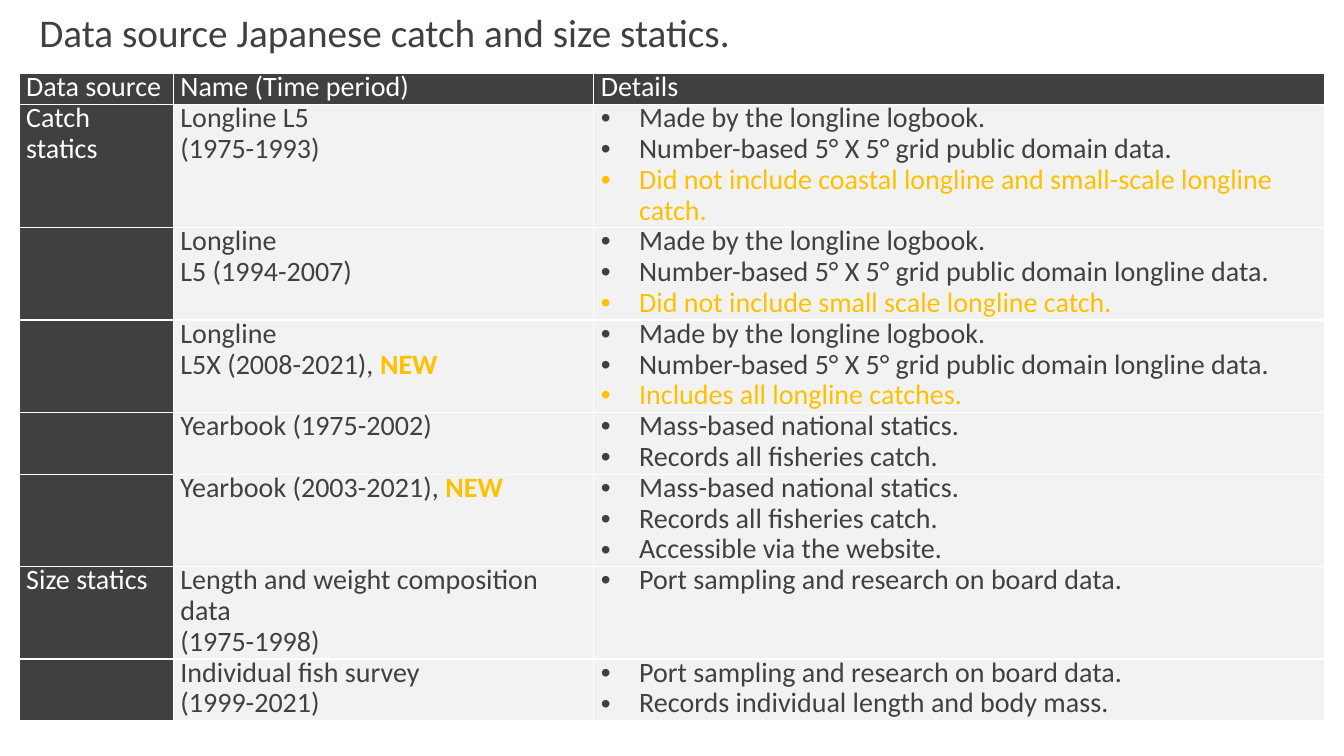
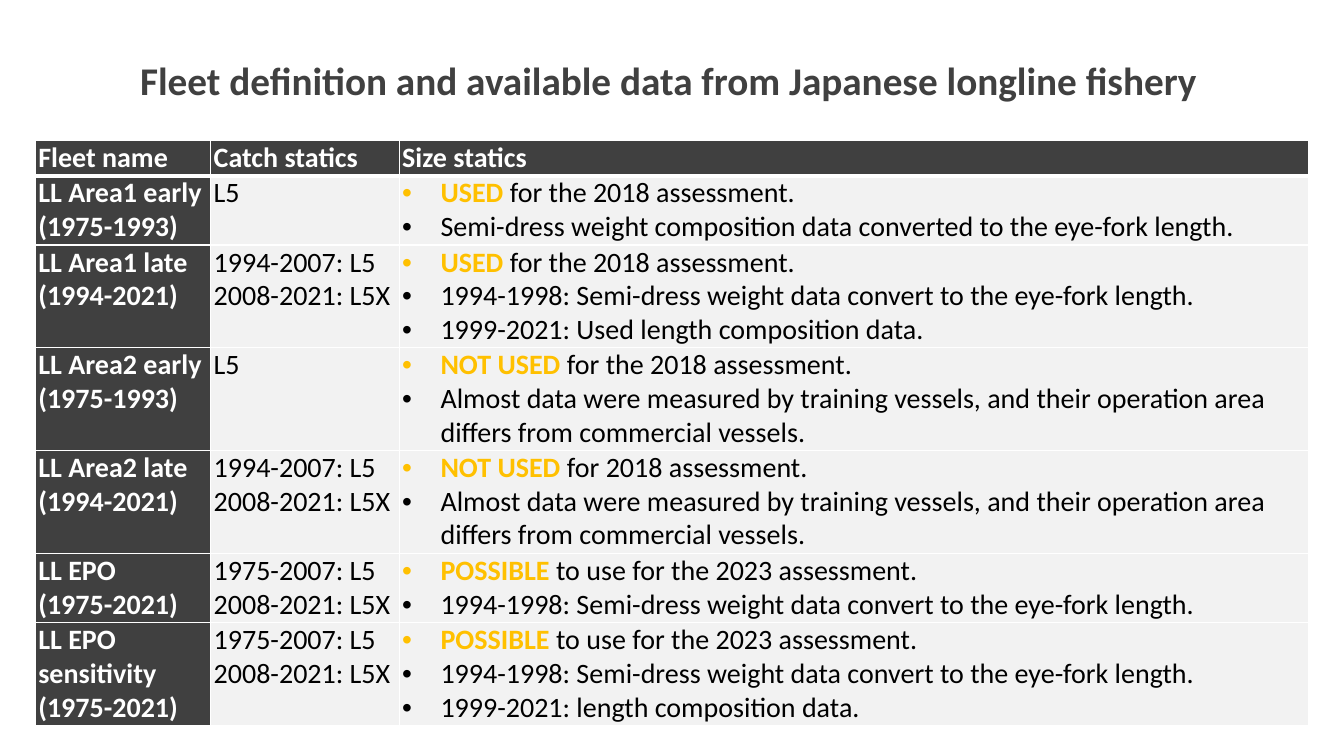
from pptx import Presentation
from pptx.dml.color import RGBColor
from pptx.enum.text import MSO_ANCHOR, MSO_AUTO_SIZE, PP_ALIGN
from pptx.util import Inches, Pt
from pptx.oxml import parse_xml
from pptx.oxml.ns import nsdecls

# Shared look
FONT = "Calibri"
DARK, PALE, GOLD, WHITE, BLACK = "404040", "F2F2F2", "FFC000", "FFFFFF", "000000"
INDENT = Inches(0.38)


def style(run, size, color, bold):
    font = run.font
    font.name, font.size, font.bold = FONT, Pt(size), bold
    font.color.rgb = RGBColor.from_string(color)


def border(cell, side, width):
    props = cell._tc.get_or_add_tcPr()
    line = parse_xml(
        f'<a:ln{side} {nsdecls("a")} w="{Pt(width)}"><a:solidFill>'
        f'<a:srgbClr val="{WHITE}"/></a:solidFill></a:ln{side}>')
    props.insert("LRTB".index(side), line)


# Text between asterisks is gold, and bold too when in capitals
grid = "Number-based 5° X 5° grid public domain"
book = "Made by the longline logbook."
mass = "Mass-based national statics.\nRecords all fisheries catch."
port = "Port sampling and research on board data."
sources = [
    (1, "Data source", "Name (Time period)", "Details"),
    (4, "Catch statics", "Longline L5\n(1975-1993)",
     f"{book}\n{grid} data.\n"
     "*Did not include coastal longline and small-scale longline catch.*"),
    (3, "", "Longline\nL5 (1994-2007)",
     f"{book}\n{grid} longline data.\n*Did not include small scale longline catch.*"),
    (3, "", "Longline\nL5X (2008-2021), *NEW*",
     f"{book}\n{grid} longline data.\n*Includes all longline catches.*"),
    (2, "", "Yearbook (1975-2002)", mass),
    (3, "", "Yearbook (2003-2021), *NEW*", f"{mass}\nAccessible via the website."),
    (3, "Size statics", "Length and weight composition data\n(1975-1998)", port),
    (2, "", "Individual fish survey\n(1999-2021)",
     f"{port}\nRecords individual length and body mass."),
]

used = "*USED* for the 2018 assessment."
able = "*POSSIBLE* to use for the 2023 assessment."
semi = "1994-1998: Semi-dress weight data convert to the eye-fork length."
train = ("Almost data were measured by training vessels, "
         "and their operation area differs from commercial vessels.")
late = "1994-2007: L5\n2008-2021: L5X"
full = "1975-2007: L5\n2008-2021: L5X"
fleets = [
    (1, "Fleet name", "Catch statics", "Size statics"),
    (2, "LL Area1 early\n(1975-1993)", "L5",
     f"{used}\nSemi-dress weight composition data converted to the eye-fork length."),
    (3, "LL Area1 late\n(1994-2021)", late,
     f"{used}\n{semi}\n1999-2021: Used length composition data."),
    (3, "LL Area2 early\n(1975-1993)", "L5",
     f"*NOT USED *for the 2018 assessment.\n{train}"),
    (3, "LL Area2 late\n(1994-2021)", late,
     f"*NOT USED *for 2018 assessment.\n{train}"),
    (2, "LL EPO\n(1975-2021)", full, f"{able}\n{semi}"),
    (3, "LL EPO\nsensitivity\n(1975-2021)", full,
     f"{able}\n{semi}\n1999-2021: length composition data."),
]

# What differs between the slides; each row starts with its count of lines
pages = [
    dict(title="Data source Japanese catch and size statics.",
         box=(0.29, 0.03, 8.48, 0.57), spot=(0.19, 0.73), cols=(1.53, 4.17, 7.25),
         rows=sources, pad=(0.07, 0), lead=22, ink=DARK, bold=False, rule=1,
         align=PP_ALIGN.JUSTIFY),
    dict(title="Fleet definition and available data from Japanese longline fishery",
         box=(1.29, 0.51, 10.76, 0.57), spot=(0.35, 1.39), cols=(1.74, 1.87, 9.02),
         rows=fleets, pad=(0.03, 0.01), lead=24, ink=BLACK, bold=True, rule=3,
         align=PP_ALIGN.LEFT),
]

deck = Presentation()
deck.slide_width, deck.slide_height = Inches(13.33), Inches(7.5)

for page in pages:
    slide = deck.slides.add_slide(deck.slide_layouts[5])

    # Title
    title = slide.shapes.title
    title.left, title.top, title.width, title.height = map(Inches, page["box"])
    frame = title.text_frame
    frame.text = page["title"]
    frame.auto_size = MSO_AUTO_SIZE.NONE
    frame.vertical_anchor = MSO_ANCHOR.TOP
    frame.paragraphs[0].alignment = PP_ALIGN.LEFT
    style(frame.paragraphs[0].runs[0], 28, DARK, page["bold"])

    # Table
    rows, cols, lead = page["rows"], page["cols"], page["lead"]
    side, edge = map(Inches, page["pad"])
    heights = [row[0] * Pt(lead) + 2 * edge for row in rows]
    left, top = map(Inches, page["spot"])
    table = slide.shapes.add_table(len(rows), len(cols), left, top,
                                   Inches(sum(cols)), sum(heights)).table
    table.first_row = table.horz_banding = False
    for col, width in zip(table.columns, cols):
        col.width = Inches(width)

    for r, (count, *texts) in enumerate(rows):
        table.rows[r].height = heights[r]
        for c, text in enumerate(texts):
            cell = table.cell(r, c)
            head = r == 0 or c == 0
            cell.margin_left = cell.margin_right = side
            cell.margin_top = cell.margin_bottom = edge
            cell.fill.solid()
            cell.fill.fore_color.rgb = RGBColor.from_string(DARK if head else PALE)
            for mark in "LRTB":
                below = (r, mark) in ((0, "B"), (1, "T"))
                border(cell, mark, page["rule"] if below else 1)
            if not text:
                continue

            # Cell text
            for i, line in enumerate(text.split("\n")):
                body = cell.text_frame
                para = body.add_paragraph() if i else body.paragraphs[0]
                para.line_spacing = Pt(lead)
                para.alignment = page["align"] if head else PP_ALIGN.LEFT
                if c == 2 and not head:
                    props = para._p.get_or_add_pPr()
                    props.set("marL", str(INDENT))
                    props.set("indent", str(-INDENT))
                    props.append(parse_xml(f'<a:buFont {nsdecls("a")} typeface="Arial"/>'))
                    props.append(parse_xml(f'<a:buChar {nsdecls("a")} char="•"/>'))
                for n, part in enumerate(line.split("*")):
                    if not part:
                        continue
                    run = para.add_run()
                    run.text = part
                    if n % 2:
                        style(run, 20, GOLD, part.isupper())
                    else:
                        style(run, 20, WHITE if head else page["ink"],
                              head and page["bold"])

deck.save("out.pptx")
